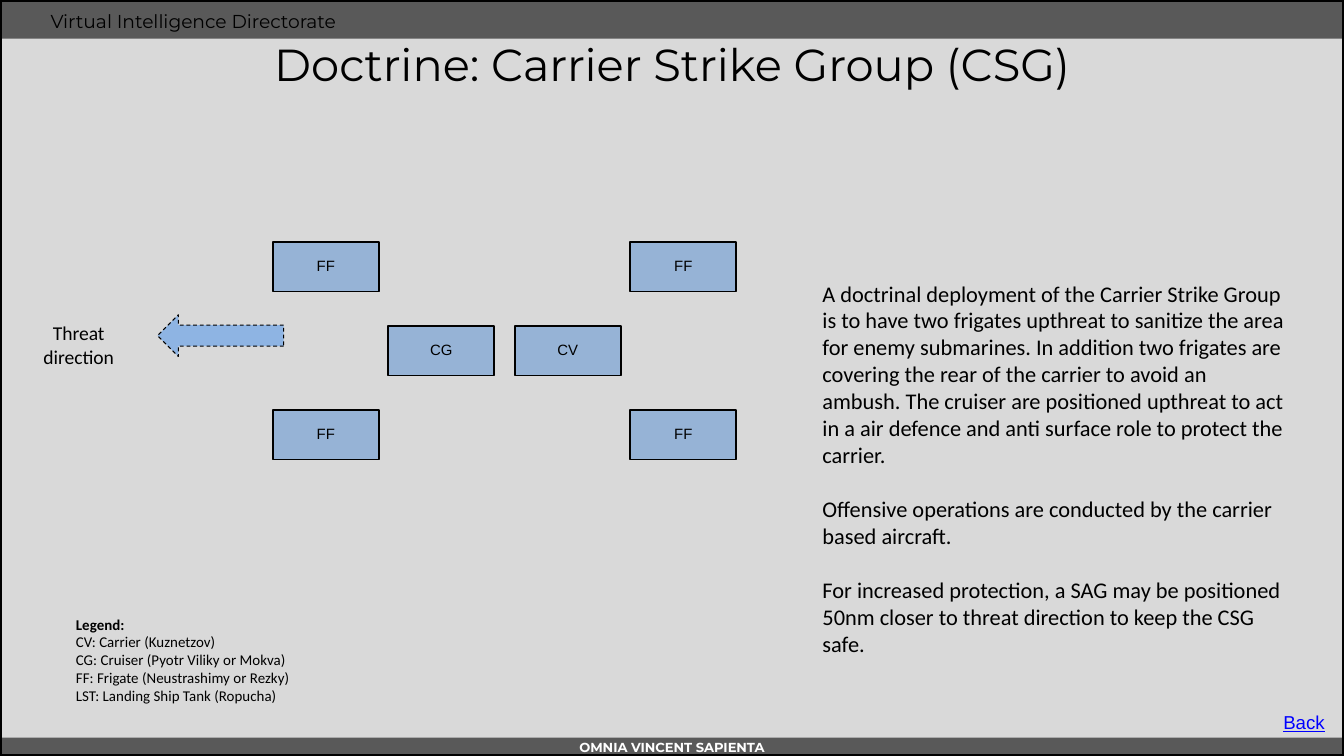
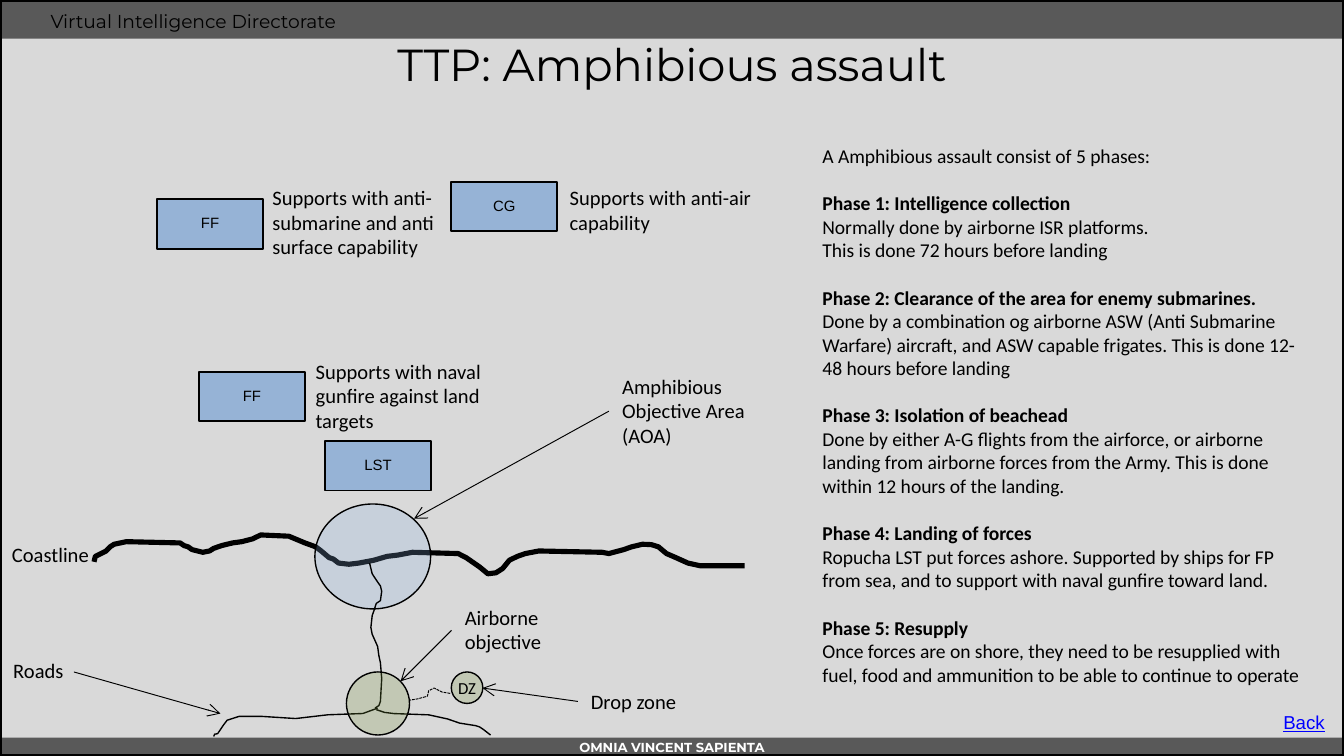
from lxml.etree import SubElement
from pptx import Presentation
from pptx.dml.color import RGBColor
from pptx.enum.dml import MSO_LINE
from pptx.enum.shapes import MSO_CONNECTOR, MSO_SHAPE
from pptx.enum.text import MSO_ANCHOR, MSO_AUTO_SIZE, PP_ALIGN
from pptx.oxml.ns import qn
from pptx.util import Pt

BLACK = RGBColor(0x00, 0x00, 0x00)
WHITE = RGBColor(0xFF, 0xFF, 0xFF)
PAPER = RGBColor(0xD9, 0xD9, 0xD9)
BAND = RGBColor(0x59, 0x59, 0x59)
SHIP_BLUE = RGBColor(0x55, 0x8E, 0xD5)
SEA_BLUE = RGBColor(0x8E, 0xB4, 0xE3)
LAND_GREEN = RGBColor(0x77, 0x93, 0x3C)
LINK_BLUE = RGBColor(0x00, 0x00, 0xFF)

WIDTH, HEIGHT = 720, 405
SHIP_WIDTH, SHIP_HEIGHT = 56.8, 26.6
TITLE_FONT, TEXT_FONT, LABEL_FONT = "Montserrat", "Calibri", "Arial"

DOCTRINE = [
    ["A doctrinal deployment of the Carrier Strike Group is to have two frigates upthreat to "
     "sanitize the area for enemy submarines. In addition two frigates are covering the rear of "
     "the carrier to avoid an ambush. The cruiser are positioned upthreat to act in a air defence "
     "and anti surface role to protect the carrier."],
    ["Offensive operations are conducted by the carrier based aircraft."],
    ["For increased protection, a SAG may be positioned 50nm closer to threat direction to keep "
     "the CSG safe."],
]
PHASES = [
    ["A Amphibious assault consist of 5 phases:"],
    ["Phase 1: Intelligence collection",
     "Normally done by airborne ISR platforms.",
     "This is done 72 hours before landing"],
    ["Phase 2: Clearance of the area for enemy submarines.",
     "Done by a combination og airborne ASW (Anti Submarine Warfare) aircraft, and ASW capable "
     "frigates. This is done 12-48 hours before landing"],
    ["Phase 3: Isolation of beachead",
     "Done by either A-G flights from the airforce, or airborne landing from airborne forces from "
     "the Army. This is done within 12 hours of the landing."],
    ["Phase 4: Landing of forces",
     "Ropucha LST put forces ashore. Supported by ships for FP from sea, and to support with naval "
     "gunfire toward land."],
    ["Phase 5: Resupply",
     "Once forces are on shore, they need to be resupplied with fuel, food and ammunition to be "
     "able to continue to operate"],
]
LEGEND = [
    "Legend:",
    "CV: Carrier (Kuznetzov)",
    "CG: Cruiser (Pyotr Viliky or Mokva)",
    "FF: Frigate (Neustrashimy or Rezky)",
    "LST: Landing Ship Tank (Ropucha)",
]

COASTLINE = [
    (50.4, 301), (51.1, 298.1), (56.9, 295.2), (59, 293), (61.2, 291.6), (67.7, 290.2),
    (96.5, 290.9), (98.6, 292.3), (100.8, 293), (103, 294.5), (108.7, 295.9), (112.3, 295.2),
    (114.5, 293.8), (118.8, 292.3), (124.6, 290.9), (129.6, 290.2), (135.4, 288.7),
    (139.7, 286.6), (154.8, 287.3), (159.8, 289.4), (163.4, 290.9), (169.2, 293),
    (172.1, 295.2), (176.4, 298.8), (178.6, 299.5), (181.4, 301.7), (187, 302.3),
    (192.2, 301.7), (200.2, 300.2), (207.4, 298.1), (213.1, 297.4), (221, 295.9),
    (245.5, 296.6), (249.8, 298.8), (257, 303.8), (261.4, 307.4), (265.7, 306.9),
    (269.3, 304.6), (272.9, 300.2), (277.2, 298.1), (281.5, 296.6), (288.7, 295.2),
    (322.6, 295.9), (326.2, 296.6), (334.1, 294.5), (338.4, 293), (344.2, 291.6),
    (349, 291.8), (352.8, 293), (357.1, 296.6), (362.2, 298.8), (368.6, 301.7),
    (375.1, 303.1), (398.9, 303.1),
]
BEACH_ROAD = [
    (198, 301.7), (199.4, 307.4), (202.3, 311.8), (203.8, 313.9), (204.5, 316.8),
    (203.8, 321.8), (201.6, 323.3), (200.2, 327.6), (199.4, 329.8), (198.7, 336.2),
    (199.4, 339.8), (202.3, 346.3), (203, 351.4), (203.8, 355), (204.5, 363.6),
    (203.8, 375.8), (203, 378), (200.9, 379.4),
]
EAST_ROAD = [
    (201.6, 380.2), (206, 381.7), (211, 382.3), (229.7, 383), (239.8, 385.2), (246.2, 387.4),
    (254.9, 388.8), (257, 389.5), (259.2, 391), (262.8, 393.8),
]
WEST_ROAD = [
    (202.3, 379.4), (194.4, 382.3), (175.7, 383), (158.4, 385), (139.7, 383.8), (128.2, 383.8),
    (121.7, 385.9), (119.5, 388.8), (116.6, 393.1), (115, 393.4), (114.5, 394.6),
]
DROP_PATH = [
    (241.2, 371.5), (236.9, 370.8), (232.6, 368.6), (229.7, 370.1), (229, 373),
    (223.9, 374.4), (219.6, 375.1),
]


def in_points(values):
    return [Pt(value) for value in values]


def format_paragraph(paragraph, size, font, color=BLACK, bold=False, align=PP_ALIGN.LEFT):
    paragraph.alignment = align
    for run in paragraph.runs:
        run.font.size = Pt(size)
        run.font.name = font
        run.font.color.rgb = color
        run.font.bold = bold


def set_insets(frame, inset):
    frame.margin_left = frame.margin_right = Pt(inset)
    frame.margin_top = frame.margin_bottom = Pt(inset)


def add_label(slide, text, box, size=11, font=TEXT_FONT, wrap=True, inset=None, **style):
    label = slide.shapes.add_textbox(*in_points(box))
    frame = label.text_frame
    frame.word_wrap = wrap
    if inset is not None:
        set_insets(frame, inset)
    frame.text = text
    for paragraph in frame.paragraphs:
        format_paragraph(paragraph, size, font, **style)
    return label


def add_figure(slide, preset, box, fill=None, alpha=None, line=None):
    figure = slide.shapes.add_shape(preset, *in_points(box))
    figure.shadow.inherit = False
    if fill is None:
        figure.fill.background()
    else:
        figure.fill.solid()
        figure.fill.fore_color.rgb = fill
    if alpha is not None:
        color = figure.element.spPr.find(qn("a:solidFill"))[0]
        SubElement(color, qn("a:alpha"), val=str(alpha * 1000))
    if line is None:
        figure.line.fill.background()
    else:
        figure.line.color.rgb = BLACK
        figure.line.width = Pt(line)
    return figure


def write_inside(figure, text, size, font, inset):
    frame = figure.text_frame
    frame.text = text
    frame.vertical_anchor = MSO_ANCHOR.MIDDLE
    set_insets(frame, inset)
    format_paragraph(frame.paragraphs[0], size, font, align=PP_ALIGN.CENTER)
    return frame.paragraphs[0]


def add_ship(slide, code, left, top):
    ship = add_figure(slide, MSO_SHAPE.RECTANGLE, (left, top, SHIP_WIDTH, SHIP_HEIGHT),
                      SHIP_BLUE, 50, 1)
    paragraph = write_inside(ship, code, 8, LABEL_FONT, 0.7)
    paragraph.line_spacing = 0.9
    paragraph.space_after = Pt(2.8)


def add_route(slide, points, width, dash=None):
    start, *rest = [in_points(point) for point in points]
    builder = slide.shapes.build_freeform(*start)
    builder.add_line_segments(rest, close=False)
    route = builder.convert_to_shape()
    route.shadow.inherit = False
    route.fill.background()
    route.line.color.rgb = BLACK
    route.line.width = Pt(width)
    if dash is not None:
        route.line.dash_style = dash


def add_pointer(slide, *ends):
    pointer = slide.shapes.add_connector(MSO_CONNECTOR.STRAIGHT, *in_points(ends))
    pointer.line.color.rgb = BLACK
    pointer.line.width = Pt(0.5)
    SubElement(pointer.line._get_or_add_ln(), qn("a:tailEnd"), type="arrow")
    SubElement(pointer.element.spPr, qn("a:effectLst"))


def place(placeholder, box):
    placeholder.left, placeholder.top, placeholder.width, placeholder.height = in_points(box)


def fill_body(slide, blocks, box, size, gap):
    body = slide.placeholders[1]
    place(body, box)
    frame = body.text_frame
    frame.auto_size = MSO_AUTO_SIZE.NONE
    frame.text = "\n".join(line for block in blocks for line in block)
    paragraphs = iter(frame.paragraphs)
    for number, block in enumerate(blocks):
        for position in range(len(block)):
            paragraph = next(paragraphs)
            opens_block = position == 0
            format_paragraph(paragraph, size, TEXT_FONT, bold=opens_block and len(block) > 1)
            paragraph.space_before = Pt(gap if opens_block and number else 0)
            properties = paragraph._p.get_or_add_pPr()
            properties.set("marL", "0")
            properties.set("indent", "0")
            SubElement(properties, qn("a:buNone"))


def add_slide(deck, title):
    slide = deck.slides.add_slide(deck.slide_layouts[1])
    heading = slide.shapes.title
    place(heading, (0, 23, WIDTH, 22.5))
    frame = heading.text_frame
    frame.text = title
    frame.auto_size = MSO_AUTO_SIZE.NONE
    frame.vertical_anchor = MSO_ANCHOR.MIDDLE
    format_paragraph(frame.paragraphs[0], 24, TITLE_FONT, align=PP_ALIGN.CENTER)
    add_label(slide, "Back", (680.4, 377.3, 36.7, 19.4), 10, LABEL_FONT, wrap=False,
              color=LINK_BLUE).text_frame.paragraphs[0].runs[0].font.underline = True
    return slide


def move_frame_to_layout(slide):
    frame_parts = [
        add_figure(slide, MSO_SHAPE.RECTANGLE, (0, 0, WIDTH, 20.7), BAND),
        add_figure(slide, MSO_SHAPE.RECTANGLE, (0, 395.2, WIDTH, 9.8), BAND),
        add_label(slide, "Virtual Intelligence Directorate", (20, 1.6, 494, 19.4), 10, TITLE_FONT),
        add_label(slide, "OMNIA VINCENT SAPIENTA", (0, 396, WIDTH, 8.6), 7, TITLE_FONT, inset=0,
                  color=WHITE, bold=True, align=PP_ALIGN.CENTER),
        add_figure(slide, MSO_SHAPE.RECTANGLE, (0, 0, WIDTH, HEIGHT), line=2),
    ]
    for number, part in enumerate(frame_parts, start=100):
        part.element.nvSpPr.cNvPr.set("id", str(number))
        slide.slide_layout.shapes.element.append(part.element)


def draw_strike_group(slide):
    for left in (146.2, 337.7):
        for top in (129.6, 219.6):
            add_ship(slide, "FF", left, top)
    add_ship(slide, "CG", 208.1, 174.6)
    add_ship(slide, "CV", 275.8, 174.6)
    threat = add_figure(slide, MSO_SHAPE.RIGHT_ARROW, (84.4, 168.6, 67.6, 22.4), SEA_BLUE, line=0.5)
    threat.rotation = 180
    threat.line.dash_style = MSO_LINE.DASH
    add_label(slide, "Threat direction", (11.3, 168.6, 61.8, 33.6), 10.5, align=PP_ALIGN.CENTER)
    legend = add_label(slide, "\n".join(LEGEND), (33.6, 326, 168.8, 55.6), 8)
    legend.text_frame.paragraphs[0].runs[0].font.bold = True
    fill_body(slide, DOCTRINE, (433.4, 146.2, 264.2, 211), 12, 14.6)


def draw_assault(slide):
    fill_body(slide, PHASES, (433.4, 73.4, 275.8, 312.5), 10.5, 12.8)
    for code, left, top in (("LST", 174.2, 236.2), ("FF", 84.2, 106.8), ("FF", 106.6, 199.2),
                            ("CG", 241.8, 97.4)):
        add_ship(slide, code, left, top)
    add_route(slide, COASTLINE, 2.75)
    add_figure(slide, MSO_SHAPE.OVAL, (168.7, 270, 62, 56.2), SEA_BLUE, 23, 0.75)
    for road in (BEACH_ROAD, EAST_ROAD, WEST_ROAD):
        add_route(slide, road, 0.75)
    add_figure(slide, MSO_SHAPE.OVAL, (185.6, 360, 33.8, 33.8), LAND_GREEN, 23, 0.75)
    drop_zone = add_figure(slide, MSO_SHAPE.OVAL, (241.8, 360, 16.9, 16.9), LAND_GREEN, 23, 0.75)
    write_inside(drop_zone, "DZ", 9, TEXT_FONT, 0).runs[0]
    drop_zone.text_frame.word_wrap = False
    add_route(slide, DROP_PATH, 0.5, MSO_LINE.SQUARE_DOT)
    for text, left, top, width, height in (
        ("Coastline", -0.7, 286.8, 84.4, 20.7),
        ("Roads", 0, 348.8, 84.4, 20.7),
        ("Drop zone", 309.4, 365.6, 84.4, 20.7),
        ("Airborne objective", 241.9, 320.4, 84.4, 34),
        ("Amphibious Objective Area (AOA)", 326.2, 196.6, 84.4, 47.3),
        ("Supports with naval gunfire against land targets", 162, 188.6, 112.5, 47.3),
        ("Supports with anti-submarine and anti surface capability", 138.8, 95.5, 112.5, 47.3),
        ("Supports with anti-air capability", 298.1, 95.5, 112.5, 34),
    ):
        add_label(slide, text, (left, top, width, height))
    add_pointer(slide, 326.2, 220.3, 221.8, 277.9)
    add_pointer(slide, 39.6, 360, 118.1, 382.3)
    add_pointer(slide, 309.6, 375.8, 258.5, 368.6)
    add_pointer(slide, 241.9, 337.7, 214.6, 365)


def main():
    deck = Presentation()
    deck.slide_width, deck.slide_height = Pt(WIDTH), Pt(HEIGHT)
    background = deck.slide_master.background.fill
    background.solid()
    background.fore_color.rgb = PAPER
    strike_group = add_slide(deck, "Doctrine: Carrier Strike Group (CSG)")
    move_frame_to_layout(strike_group)
    draw_strike_group(strike_group)
    draw_assault(add_slide(deck, "TTP: Amphibious assault"))
    deck.save("out.pptx")


if __name__ == "__main__":
    main()
